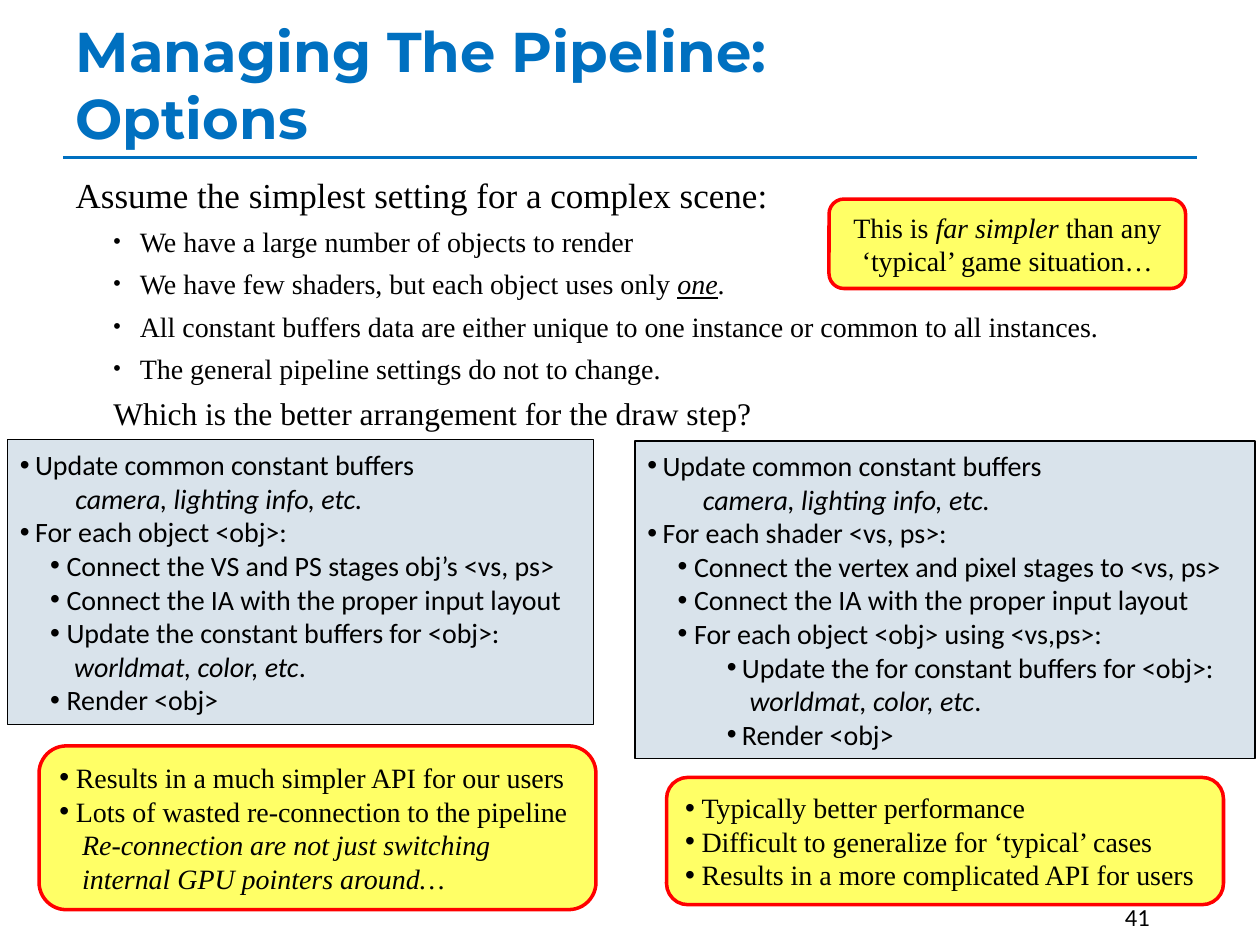
from dataclasses import dataclass

from lxml import etree
from pptx import Presentation
from pptx.dml.color import RGBColor
from pptx.enum.shapes import MSO_CONNECTOR, MSO_SHAPE
from pptx.enum.text import MSO_ANCHOR, MSO_AUTO_SIZE, PP_ALIGN
from pptx.oxml.ns import qn
from pptx.util import Inches, Pt


@dataclass(frozen=True)
class Theme:
    blue: RGBColor = RGBColor(0x00, 0x70, 0xC0)
    black: RGBColor = RGBColor(0x00, 0x00, 0x00)
    panel: RGBColor = RGBColor(0xD9, 0xE3, 0xEB)
    yellow: RGBColor = RGBColor(0xFF, 0xFF, 0x66)
    red: RGBColor = RGBColor(0xFF, 0x00, 0x00)
    heading: str = "Montserrat"
    serif: str = "Times New Roman"
    sans: str = "Calibri"
    title_size: int = 32
    lead_size: int = 20
    question_size: int = 18
    text_size: int = 16
    number_size: int = 14


@dataclass(frozen=True)
class Style:
    """Paragraph format; margin and hanging are inches, hanging 0 means no bullet."""
    level: int = 0
    margin: float = 0
    hanging: float = 0
    size: int = Theme.text_size
    before: int = 0
    bullet_percent: int = 100
    align: PP_ALIGN = PP_ALIGN.LEFT


LEAD = Style(size=Theme.lead_size, before=6)
POINT = Style(1, 0.51, 0.21, before=5, bullet_percent=76)
QUESTION = Style(1, 0.3, size=Theme.question_size, before=5)
STEP = Style(0, 0.12, 0.12)
STEP_DETAIL = Style(1, 0.44)
SUBSTEP = Style(1, 0.37, 0.13)
SUBSTEP_DETAIL = Style(2, 0.43)
INNER_STEP = Style(2, 0.75, 0.12)
INNER_DETAIL = Style(2, 0.81)
RESULT = Style(0, 0.13, 0.13)
RESULT_DETAIL = Style(1, 0.18)
CENTERED = Style(align=PP_ALIGN.CENTER)

# In the texts, *...* is italic and *_..._* is italic and underlined.
TITLE = "Managing The Pipeline: \vOptions"
PAGE_NUMBER = "41"
BODY = [
    (LEAD, "Assume the simplest setting for a complex scene:"),
    (POINT, "We have a large number of objects to render"),
    (POINT, "We have few shaders, but each object uses only *_one_*."),
    (POINT, "All constant buffers data are either unique to one instance or common to all instances."),
    (POINT, "The general pipeline settings do not to change."),
    (QUESTION, "Which is the better arrangement for the draw step?"),
]
COMMON_STEPS = [
    (STEP, "Update common constant buffers"),
    (STEP_DETAIL, "*camera, lighting info, etc.*"),
]
BY_SHADER = COMMON_STEPS + [
    (STEP, "For each shader <vs, ps>:"),
    (SUBSTEP, "Connect the vertex and pixel stages to <vs, ps>"),
    (SUBSTEP, "Connect the IA with the proper input layout"),
    (SUBSTEP, "For each object <obj> using <vs,ps>:"),
    (INNER_STEP, "Update the for constant buffers for <obj>:"),
    (INNER_DETAIL, "*worldmat, color, etc*."),
    (INNER_STEP, "Render <obj>"),
]
BY_OBJECT = COMMON_STEPS + [
    (STEP, "For each object <obj>:"),
    (SUBSTEP, "Connect the VS and PS stages obj’s <vs, ps>"),
    (SUBSTEP, "Connect the IA with the proper input layout"),
    (SUBSTEP, "Update the constant buffers for <obj>:"),
    (SUBSTEP_DETAIL, "*worldmat, color, etc*."),
    (SUBSTEP, "Render <obj>"),
]
REMARK = [(CENTERED, "This is *far simpler* than any ‘typical’ game situation…")]
OBJECT_RESULTS = [
    (RESULT, "Results in a much simpler API for our users"),
    (RESULT, "Lots of wasted re-connection to the pipeline"),
    (RESULT_DETAIL, "*Re-connection are not just switching internal GPU pointers around…*"),
]
SHADER_RESULTS = [
    (RESULT, "Typically better performance"),
    (RESULT, "Difficult to generalize for ‘typical’ cases"),
    (RESULT, "Results in a more complicated API for users"),
]

WIDTH, HEIGHT, MARGIN = 10, 7.5, 0.5
RULE_TOP = HEIGHT / 6
TEXT_WIDTH = 9.42
RESULT_WIDTH = 4.42

# left, top, width, height in inches
PANELS = [
    ((5.04, 3.5, 4.92, 2.52), BY_SHADER),
    ((0.06, 3.49, 4.65, 2.26), BY_OBJECT),
]
CALLOUTS = [
    ((6.58, 1.58, 2.83, 0.71), REMARK),
    ((0.31, 5.92, RESULT_WIDTH, 1.3), OBJECT_RESULTS),
    ((5.29, 6.17, RESULT_WIDTH, 1.01), SHADER_RESULTS),
]


def place(shape, box):
    shape.left, shape.top, shape.width, shape.height = map(Inches, box)


def set_font(font, name, size, color, bold=False):
    font.name, font.size, font.bold = name, Pt(size), bold
    font.color.rgb = color


def set_bullet(paragraph, style):
    properties = paragraph._p.get_or_add_pPr()
    properties.set("marL", str(Inches(style.margin)))
    properties.set("indent", str(-Inches(style.hanging)))
    if not style.hanging:
        etree.SubElement(properties, qn("a:buNone"))
        return
    for tag, name, value in (
        ("a:buSzPct", "val", str(style.bullet_percent * 1000)),
        ("a:buFont", "typeface", "Arial"),
        ("a:buChar", "char", "•"),
    ):
        etree.SubElement(properties, qn(tag)).set(name, value)


def write(frame, content, font_name):
    frame.word_wrap = True
    frame.auto_size = MSO_AUTO_SIZE.NONE
    for index, (style, text) in enumerate(content):
        paragraph = frame.add_paragraph() if index else frame.paragraphs[0]
        paragraph.level = style.level
        paragraph.alignment = style.align
        paragraph.space_before = Pt(style.before)
        set_bullet(paragraph, style)
        set_font(paragraph.font, font_name, style.size, Theme.black)
        for position, piece in enumerate(text.split("*")):
            if piece:
                run = paragraph.add_run()
                run.text = piece.strip("_")
                if position % 2:
                    run.font.italic = True
                if piece.startswith("_"):
                    run.font.underline = True


def add_box(slide, preset, box, content, fill, line, line_width, font_name):
    shape = slide.shapes.add_shape(preset, *map(Inches, box))
    shape.shadow.inherit = False
    shape.fill.solid()
    shape.fill.fore_color.rgb = fill
    shape.line.color.rgb = line
    shape.line.width = Pt(line_width)
    shape.text_frame.vertical_anchor = MSO_ANCHOR.MIDDLE
    write(shape.text_frame, content, font_name)


def add_rule(slide):
    rule = slide.shapes.add_connector(
        MSO_CONNECTOR.STRAIGHT,
        *map(Inches, (MARGIN, RULE_TOP, WIDTH - MARGIN, RULE_TOP)))
    rule.line.color.rgb = Theme.blue
    rule.line.width = Pt(2)
    etree.SubElement(rule._element.spPr, qn("a:effectLst"))


def main():
    presentation = Presentation()
    presentation.slide_width, presentation.slide_height = Inches(WIDTH), Inches(HEIGHT)
    slide = presentation.slides.add_slide(presentation.slide_layouts[1])
    add_rule(slide)

    title = slide.shapes.title
    place(title, (MARGIN, 0.17, TEXT_WIDTH, 1.08))
    title.text_frame.text = TITLE
    title.text_frame.vertical_anchor = MSO_ANCHOR.BOTTOM
    title.text_frame.auto_size = MSO_AUTO_SIZE.NONE
    paragraph = title.text_frame.paragraphs[0]
    paragraph.alignment = PP_ALIGN.LEFT
    set_font(paragraph.font, Theme.heading, Theme.title_size, Theme.blue, bold=True)

    number = slide.shapes.add_textbox(*map(Inches, (8.83, 7.11, 0.67, 0.4)))
    write(number.text_frame, [(Style(size=Theme.number_size), PAGE_NUMBER)], Theme.sans)

    body = slide.placeholders[1]
    place(body, (MARGIN, 1.33, TEXT_WIDTH, 5.75))
    write(body.text_frame, BODY, Theme.serif)

    for box, content in PANELS:
        add_box(slide, MSO_SHAPE.RECTANGLE, box, content,
                Theme.panel, Theme.black, 0.75, Theme.sans)
    for box, content in CALLOUTS:
        add_box(slide, MSO_SHAPE.ROUNDED_RECTANGLE, box, content,
                Theme.yellow, Theme.red, 2, Theme.serif)
    presentation.save("out.pptx")


if __name__ == "__main__":
    main()
